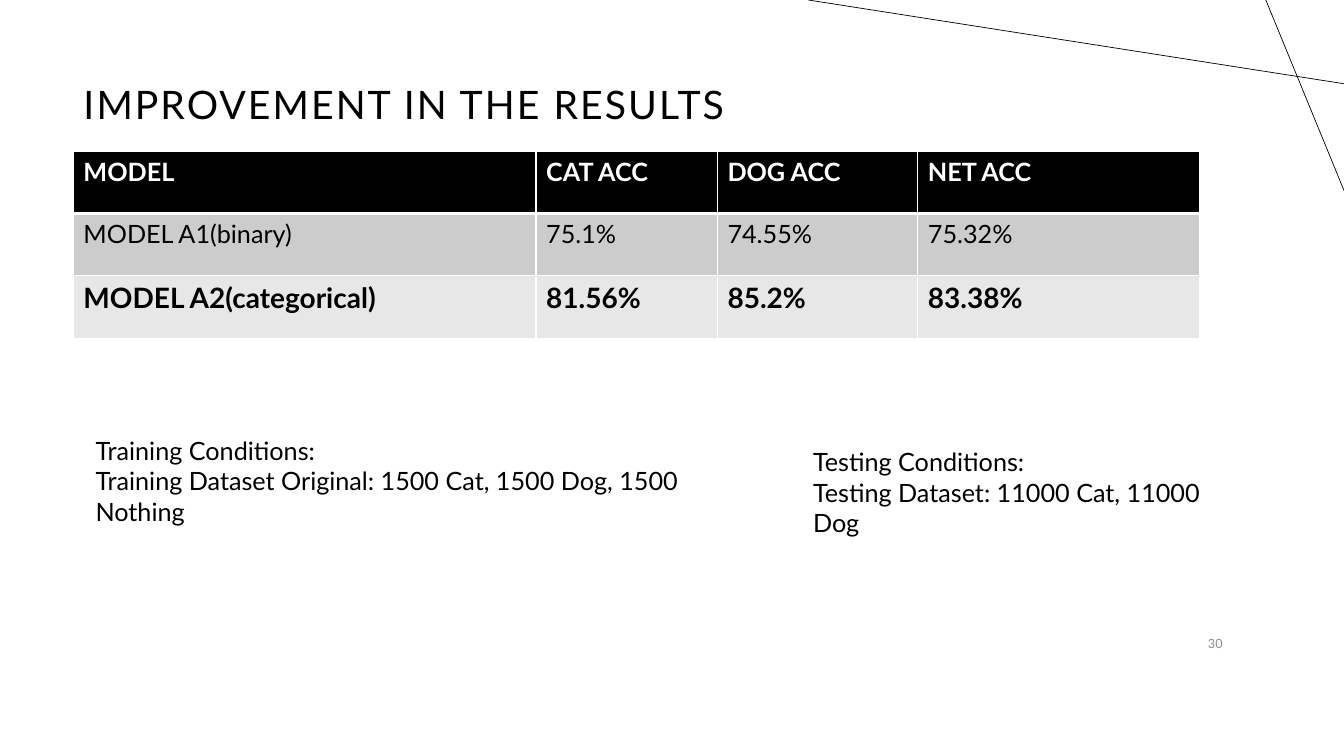
from lxml import etree
from pptx import Presentation
from pptx import util as u
from pptx.dml.color import RGBColor
from pptx.enum import shapes, text
from pptx.oxml.ns import qn

FONT = "Lato"
BLACK = RGBColor(0x00, 0x00, 0x00)
WHITE = RGBColor(0xFF, 0xFF, 0xFF)
GREY = RGBColor(0x8C, 0x8C, 0x8C)
DARK_BAND = RGBColor(0xCC, 0xCC, 0xCC)
LIGHT_BAND = RGBColor(0xE7, 0xE7, 0xE7)

COLUMN_WIDTHS = (11.66, 4.57, 5.05, 7.11)
ROW_HEIGHT = 1.57
RESULTS = (
    ("MODEL", "CAT ACC", "DOG ACC", "NET ACC"),
    ("MODEL A1(binary)", "75.1%", "74.55%", "75.32%"),
    ("MODEL A2(categorical)", "81.56%", "85.2%", "83.38%"),
)
ROW_STYLES = (
    (BLACK, WHITE, 18, True),
    (DARK_BAND, BLACK, 18, False),
    (LIGHT_BAND, BLACK, 20, True),
)


def format_text(frame, size, color, bold=False):
    for paragraph in frame.paragraphs:
        for run in paragraph.runs:
            run.font.name = FONT
            run.font.size = u.Pt(size)
            run.font.bold = bold
            run.font.color.rgb = color


def place(shape, left, top, width, height):
    shape.left, shape.top = u.Cm(left), u.Cm(top)
    shape.width, shape.height = u.Cm(width), u.Cm(height)


def add_line(slide, start, end):
    line = slide.shapes.add_connector(
        shapes.MSO_CONNECTOR.STRAIGHT, *map(u.Cm, start + end))
    line.line.color.rgb = BLACK
    line.line.width = u.Pt(0.5)
    etree.SubElement(line._element.spPr, qn("a:effectLst"))


def set_title(slide, wording):
    title = slide.shapes.title
    place(title, 1.85, 0.86, 29.69, 3.68)
    frame = title.text_frame
    frame.text = wording
    frame.vertical_anchor = text.MSO_ANCHOR.MIDDLE
    paragraph = frame.paragraphs[0]
    paragraph.alignment = text.PP_ALIGN.LEFT
    paragraph.line_spacing = 0.9
    format_text(frame, 28, BLACK)
    paragraph.runs[0]._r.get_or_add_rPr().set("spc", "150")


def add_text(slide, wording, left, top, width, height, size=18, color=BLACK):
    box = slide.shapes.add_textbox(*map(u.Cm, (left, top, width, height)))
    frame = box.text_frame
    frame.word_wrap = True
    frame.text = wording
    format_text(frame, size, color)
    return frame


def set_borders(cell, bottom_width):
    properties = cell._tc.get_or_add_tcPr()
    for side, width in (("L", 1), ("R", 1), ("T", 1), ("B", bottom_width)):
        border = etree.SubElement(
            properties, qn(f"a:ln{side}"), w=str(u.Pt(width)))
        fill = etree.SubElement(border, qn("a:solidFill"))
        etree.SubElement(fill, qn("a:srgbClr"), val=str(WHITE))


def add_results_table(slide, left, top):
    table = slide.shapes.add_table(
        len(RESULTS), len(COLUMN_WIDTHS), u.Cm(left), u.Cm(top),
        u.Cm(sum(COLUMN_WIDTHS)), u.Cm(ROW_HEIGHT * len(RESULTS))).table
    for column, width in zip(table.columns, COLUMN_WIDTHS):
        column.width = u.Cm(width)
    for index, (row, values) in enumerate(zip(table.rows, RESULTS)):
        row.height = u.Cm(ROW_HEIGHT)
        fill, color, size, bold = ROW_STYLES[index]
        for cell, value in zip(row.cells, values):
            cell.text_frame.text = value
            format_text(cell.text_frame, size, color, bold)
            set_borders(cell, 3 if index == 0 else 1)
            cell.fill.solid()
            cell.fill.fore_color.rgb = fill


def main():
    presentation = Presentation()
    presentation.slide_width = u.Cm(33.87)
    presentation.slide_height = u.Cm(19.05)
    slide = presentation.slides.add_slide(presentation.slide_layouts[5])

    add_line(slide, (33.87, 2.11), (20.37, 0))
    add_line(slide, (31.9, 0), (33.87, 4.8))
    set_title(slide, "IMPROVEMENT IN THE RESULTS")
    add_results_table(slide, 1.85, 3.81)
    add_text(slide, "Training Conditions:\nTraining Dataset Original: "
             "1500 Cat, 1500 Dog, 1500 Nothing", 2.16, 10.85, 17.25, 2.57)
    add_text(slide, "Testing Conditions:\nTesting Dataset: 11000 Cat, "
             "11000 Dog", 20.24, 11.13, 11.3, 1.8)
    number = add_text(slide, "30", 23.44, 15.7, 7.62, 1.02, 9, GREY)
    number.vertical_anchor = text.MSO_ANCHOR.MIDDLE
    number.paragraphs[0].alignment = text.PP_ALIGN.RIGHT

    presentation.save("out.pptx")


if __name__ == "__main__":
    main()
